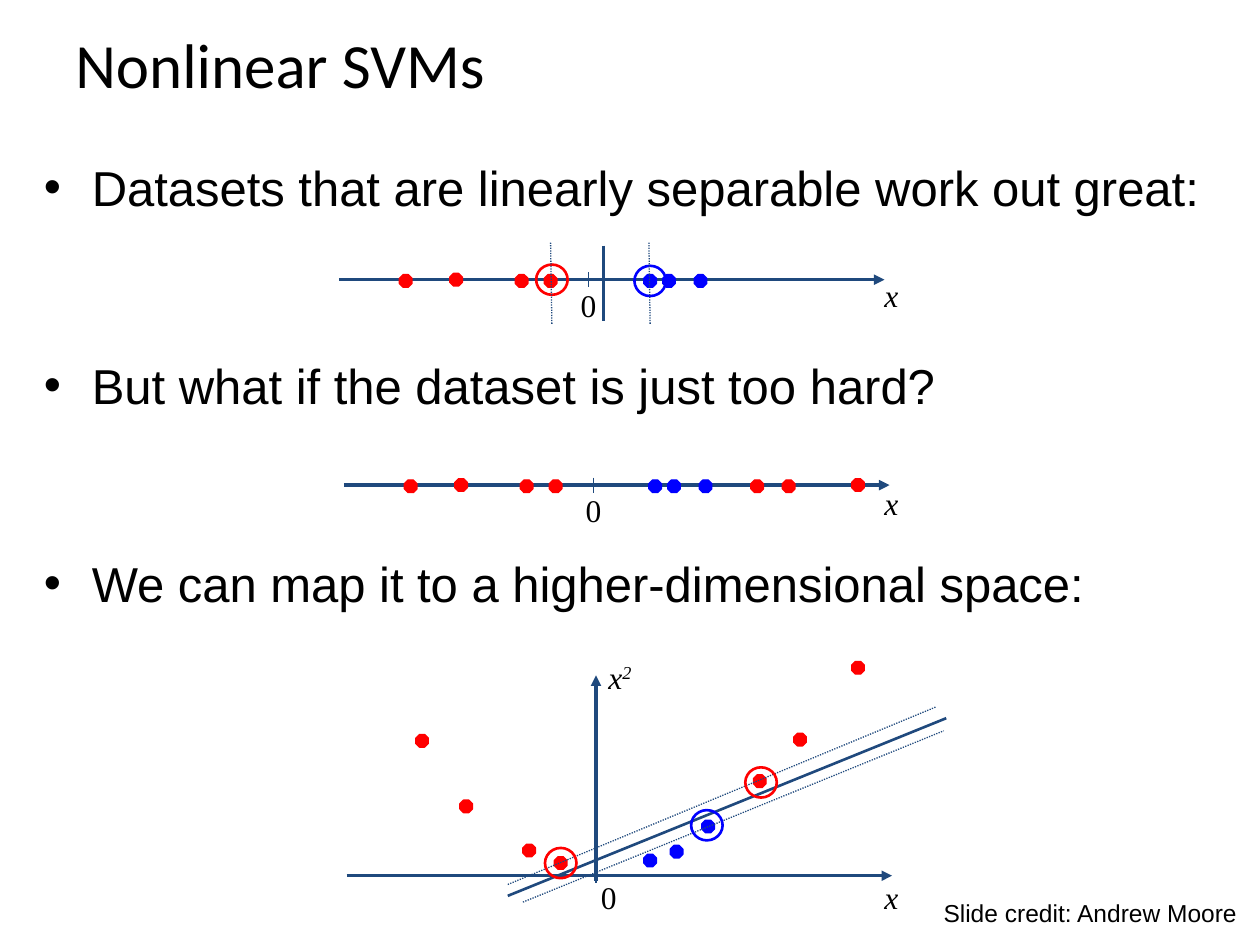
import dataclasses

import lxml.etree
import pptx
import pptx.dml.color
import pptx.enum.dml
import pptx.enum.shapes
import pptx.enum.text
import pptx.oxml.ns
import pptx.util

Inches = pptx.util.Inches
Pt = pptx.util.Pt
SHAPE = pptx.enum.shapes.MSO_SHAPE
qn = pptx.oxml.ns.qn


@dataclasses.dataclass(frozen=True)
class Theme:
    text: str = "000000"
    axis: str = "1F497D"
    red: str = "FF0000"
    blue: str = "0000FF"
    title_font: str = "Calibri"
    body_font: str = "Arial"
    math_font: str = "Times New Roman"
    title_size: float = 36
    body_size: float = 28
    math_size: float = 18
    credit_size: float = 14
    thin: float = 0.75
    medium: float = 1.5
    thick: float = 2


def rgb(value):
    return pptx.dml.color.RGBColor.from_string(value)


class SlideBuilder:
    def __init__(self, s, theme):
        self.s = s
        self.theme = theme
        self.shapes = s.shapes

    def start_group(self):
        """Send the elements that follow into a new group."""
        self.shapes = self.s.shapes.add_group_shape().shapes

    def end_group(self):
        self.shapes = self.s.shapes

    def text_box(self, x, y, w, h, wrap=True, grow=False):
        tf = self.shapes.add_textbox(Inches(x), Inches(y), Inches(w), Inches(h)).text_frame
        tf.word_wrap = wrap
        if grow:
            tf.auto_size = pptx.enum.text.MSO_AUTO_SIZE.SHAPE_TO_FIT_TEXT
        return tf

    def run(self, p, text, font, size, italic=False, superscript=False):
        r = p.add_run()
        r.text = text
        r.font.name = font
        r.font.size = Pt(size)
        r.font.italic = italic
        r.font.color.rgb = rgb(self.theme.text)
        if superscript:
            r.font._element.set("baseline", "30000")

    def title(self, text):
        tf = self.text_box(0.5, 0, 9, 1)
        tf.vertical_anchor = pptx.enum.text.MSO_ANCHOR.MIDDLE
        self.run(tf.paragraphs[0], text, self.theme.title_font, self.theme.title_size)

    def bullets(self, items, x, y, w, h, gap, indent=0.38):
        tf = self.text_box(x, y, w, h)
        for i, item in enumerate(items):
            p = tf.add_paragraph() if i else tf.paragraphs[0]
            pPr = p._p.get_or_add_pPr()
            pPr.set("marL", str(Inches(indent)))
            pPr.set("indent", str(-Inches(indent)))
            lxml.etree.SubElement(pPr, qn("a:buFont")).set("typeface", self.theme.body_font)
            lxml.etree.SubElement(pPr, qn("a:buChar")).set("char", "•")
            if i:
                p.space_before = Pt(gap)
            self.run(p, item, self.theme.body_font, self.theme.body_size)

    def label(self, text, x, y, w=0.5, italic=True, power=None):
        p = self.text_box(x, y, w, 0.4, grow=True).paragraphs[0]
        self.run(p, text, self.theme.math_font, self.theme.math_size, italic)
        if power:
            self.run(p, power, self.theme.math_font, self.theme.math_size, italic, True)

    def zero(self, x, y):
        self.label("0", x, y, w=0.38, italic=False)

    def credit(self, text):
        tf = self.text_box(7.39, 7.08, 2.53, 0.33, wrap=False, grow=True)
        self.run(tf.paragraphs[0], text, self.theme.body_font, self.theme.credit_size)

    def line(self, start, end, width, arrow=False, dotted=False):
        c = self.shapes.add_connector(pptx.enum.shapes.MSO_CONNECTOR.STRAIGHT,
                                      *map(Inches, (*start, *end)))
        c.line.color.rgb = rgb(self.theme.axis)
        c.line.width = Pt(width)
        if dotted:
            c.line.dash_style = pptx.enum.dml.MSO_LINE.ROUND_DOT
        if arrow:
            ln = c.line._get_or_add_ln()
            lxml.etree.SubElement(ln, qn("a:tailEnd")).set("type", "triangle")
        lxml.etree.SubElement(c._element.spPr, qn("a:effectLst"))

    def marker(self, kind, cx, cy, w, h, color, width):
        """Add an outlined shape centred on a point."""
        sp = self.shapes.add_shape(kind, Inches(cx - w / 2), Inches(cy - h / 2),
                                   Inches(w), Inches(h))
        sp.shadow.inherit = False
        sp.line.color.rgb = rgb(color)
        sp.line.width = Pt(width)
        return sp

    def dot(self, cx, cy, color):
        sp = self.marker(SHAPE.OCTAGON, cx, cy, 0.1, 0.1, color, self.theme.thin)
        sp.fill.solid()
        sp.fill.fore_color.rgb = rgb(color)

    def ring(self, cx, cy, color):
        sp = self.marker(SHAPE.OVAL, cx, cy, 0.25, 0.24, color, self.theme.medium)
        sp.fill.background()

    def axis(self, x, y):
        """Add a horizontal arrow with a tick at its origin."""
        origin = x + 1.98
        self.line((x, y), (x + 4.33, y), self.theme.thick, arrow=True)
        self.line((origin, y - 0.06), (origin, y + 0.06), self.theme.thin)

    def number_line(self, x, y, points, label_y):
        """Add an axis with dots given as (offset along it, lift above it, colour)."""
        self.axis(x, y)
        self.zero(x + 1.82, y)
        for offset, lift, color in points:
            self.dot(x + offset, y + 0.01 - lift, color)
        self.label("x", 6.92, label_y)


def main():
    prs = pptx.Presentation()
    prs.slide_width, prs.slide_height = Inches(10), Inches(7.5)
    theme = Theme()
    b = SlideBuilder(prs.slides.add_slide(prs.slide_layouts[6]), theme)
    red, blue = theme.red, theme.blue

    b.bullets(["Datasets that are linearly separable work out great:",
               "But what if the dataset is just too hard?",
               "We can map it to a higher-dimensional space:"],
              0.25, 1.2, 9.58, 5.5, gap=79.5)

    separable = [(0.53, 0, red), (0.93, 0.01, red), (1.45, 0, red), (1.68, 0, red),
                 (2.47, 0, blue), (2.62, 0, blue), (2.87, 0, blue)]
    hard = separable + [(3.28, 0, red), (3.53, 0, red), (4.08, 0.01, red)]

    b.start_group()
    b.number_line(2.73, 3.85, hard, label_y=3.79)

    b.start_group()
    b.number_line(2.69, 2.22, separable, label_y=2.14)
    b.line((4.79, 1.95), (4.79, 2.55), theme.medium)
    for x, y, color in [(5.16, 2.23, blue), (4.38, 2.22, red)]:
        b.ring(x, y, color)
        b.line((x, 2.57), (x - 0.01, 1.92), theme.thin, dotted=True)

    b.start_group()
    b.axis(2.75, 6.95)
    b.line((4.73, 6.99), (4.73, 5.36), theme.thick, arrow=True)
    mapped = {
        red: [(3.35, 5.88), (3.7, 6.4), (4.2, 6.75), (4.45, 6.85),
              (6.03, 6.2), (6.35, 5.87), (6.81, 5.3)],
        blue: [(5.16, 6.83), (5.37, 6.76), (5.62, 6.56)],
    }
    for color, points in mapped.items():
        for x, y in points:
            b.dot(x, y, color)
    b.line((4.03, 7.11), (7.51, 5.7), theme.medium)
    b.line((4.03, 7.02), (7.43, 5.61), theme.thin, dotted=True)
    b.line((4.15, 7.16), (7.49, 5.8), theme.thin, dotted=True)
    for x, y, color in [(6.04, 6.21, red), (5.61, 6.55, blue), (4.45, 6.85, red)]:
        b.ring(x, y, color)
    b.label("x", 4.73, 5.17, power="2")
    b.zero(4.67, 6.92)
    b.label("x", 6.92, 6.92)
    b.end_group()

    b.title("Nonlinear SVMs")
    b.credit("Slide credit: Andrew Moore")
    prs.save("out.pptx")


if __name__ == "__main__":
    main()
